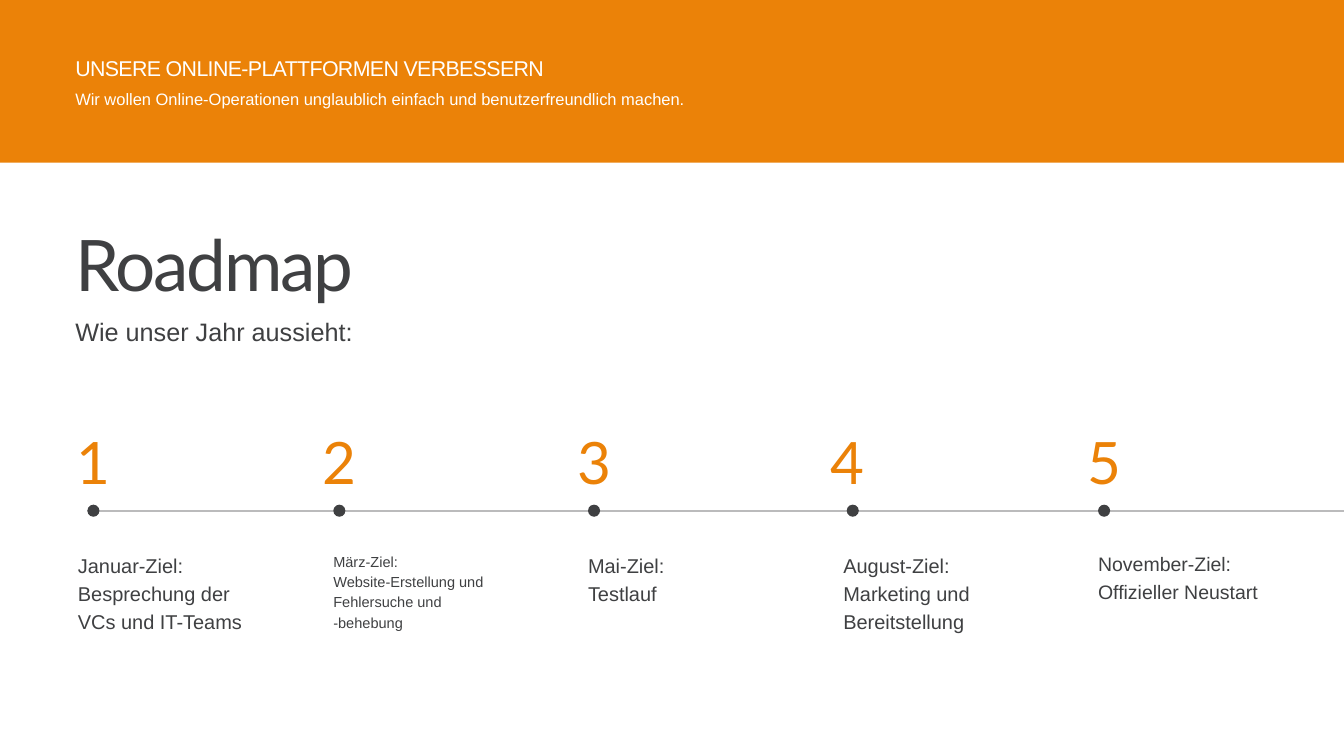
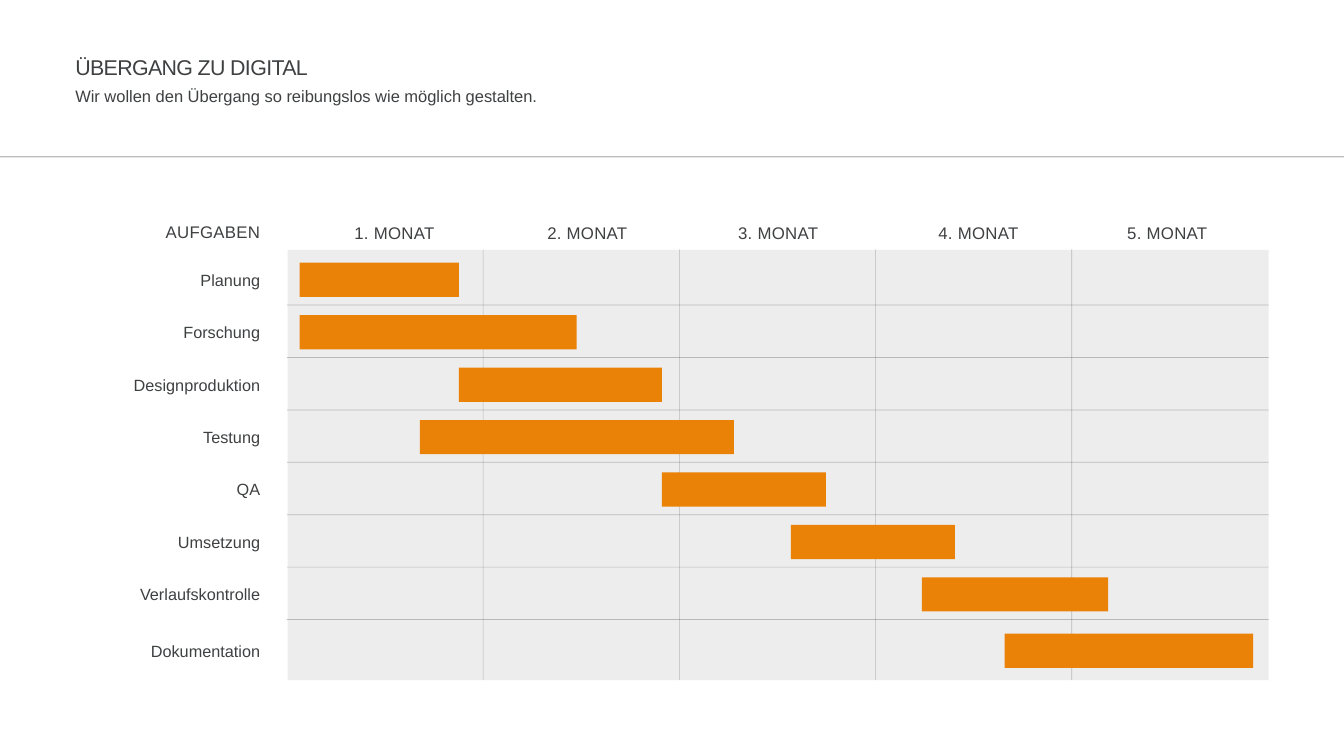
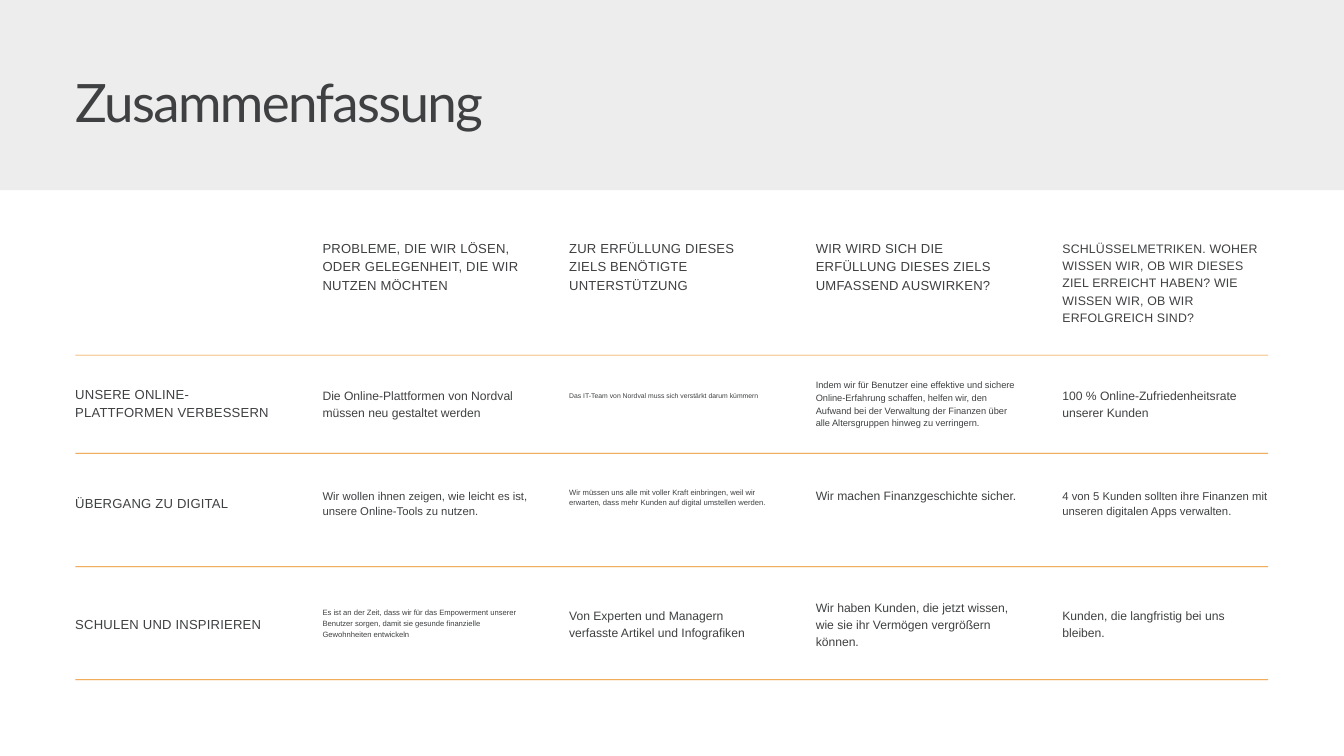
"""Build three planning slides: a roadmap, a Gantt plan and a summary grid."""
from dataclasses import dataclass, replace
from typing import NamedTuple

from lxml import etree
from pptx import Presentation
from pptx.dml.color import RGBColor
from pptx.enum import shapes, text
from pptx.oxml import ns
from pptx.util import Inches, Pt

ORANGE = RGBColor(0xEB, 0x82, 0x08)
DARK = RGBColor(0x3F, 0x40, 0x42)
LIGHT = RGBColor(0xED, 0xED, 0xED)
WHITE = RGBColor(0xFF, 0xFF, 0xFF)

LEFT, CENTER, RIGHT, JUSTIFY = (
    text.PP_ALIGN.LEFT, text.PP_ALIGN.CENTER, text.PP_ALIGN.RIGHT, text.PP_ALIGN.JUSTIFY)
RECT, OVAL = shapes.MSO_SHAPE.RECTANGLE, shapes.MSO_SHAPE.OVAL

MARGIN = 1.12
CONTENT_W = 17.75
HAIRLINE = 0.01


class Box(NamedTuple):
    """Position and size in inches."""
    left: float
    top: float
    width: float
    height: float


@dataclass(frozen=True)
class Style:
    """Look of a text; tracking in points, leading as a multiple of the size."""
    size: float
    font: str = "Arial"
    color: RGBColor = DARK
    tracking: float = 0
    leading: float = 1.4
    align: text.PP_ALIGN = LEFT


class Milestone(NamedTuple):
    """One stop on the roadmap."""
    number_left: float
    dot_left: float
    goal_left: float
    goal_top: float
    goal_height: float
    size: float
    goal: tuple[str, str]


class Task(NamedTuple):
    """One bar of the Gantt plan; drop moves it down from its row."""
    name: str
    start: float
    length: float
    drop: float = 0


class Month(NamedTuple):
    """One month heading."""
    left: float
    label: str


class Cell(NamedTuple):
    """One text of the summary grid."""
    words: str
    top: float
    height: float
    size: float = 13


TITLE = Style(76.1, "Lato", tracking=-2.3, leading=1.3)
SUMMARY_TITLE = replace(TITLE, size=56.7, tracking=-1.7)
NUMBER = Style(62.6, "Lato", ORANGE, 6.3, 1.3, CENTER)
HEADER = Style(22.9, tracking=-0.7, leading=1.3)
SUBHEADER = Style(17.7)
SUBTITLE = Style(27)
MONTH = Style(18, tracking=0.3, align=CENTER)
TASK = Style(17.4, align=RIGHT)
CAPS = Style(14, tracking=0.2)

MILESTONES = (
    Milestone(0.95, 1.3, 1.16, 8.18, 1.22, 21.4,
              ("Januar-Ziel:", "Besprechung der VCs und IT-Teams")),
    Milestone(4.6, 4.96, 4.96, 8.18, 1.2, 15.6,
              ("März-Ziel:", "Website-Erstellung und Fehlersuche und -behebung")),
    Milestone(8.4, 8.75, 8.75, 8.18, 0.8, 21.4, ("Mai-Ziel:", "Testlauf")),
    Milestone(12.16, 12.6, 12.55, 8.18, 1.22, 21.4,
              ("August-Ziel:", "Marketing und Bereitstellung")),
    Milestone(15.99, 16.34, 16.34, 8.16, 0.8, 20.9,
              ("November-Ziel:", "Offizieller Neustart")),
)

MONTHS = (
    Month(5.03, "1. MONAT"), Month(7.9, "2. MONAT"), Month(10.74, "3. MONAT"),
    Month(13.72, "4. MONAT"), Month(16.53, "5. MONAT"),
)

TASKS = (
    Task("Planung", 4.46, 2.37),
    Task("Forschung", 4.46, 4.12),
    Task("Designproduktion", 6.83, 3.02),
    Task("Testung", 6.25, 4.67),
    Task("QA", 9.85, 2.44),
    Task("Umsetzung", 11.77, 2.44),
    Task("Verlaufskontrolle", 13.72, 2.77),
    Task("Dokumentation", 14.95, 3.7, 0.06),
)
GRID = Box(4.28, 3.72, 14.6, 6.4)
MONTH_W = 2.92
ROW_H = 0.78

COLUMN_HEADS = (
    Cell("PROBLEME, DIE WIR LÖSEN, ODER GELEGENHEIT, DIE WIR NUTZEN MÖCHTEN", 3.54, 0.8, 14),
    Cell("ZUR ERFÜLLUNG DIESES ZIELS BENÖTIGTE UNTERSTÜTZUNG", 3.54, 0.53, 14),
    Cell("WIR WIRD SICH DIE ERFÜLLUNG DIESES ZIELS UMFASSEND AUSWIRKEN?", 3.54, 0.8, 14),
    Cell("SCHLÜSSELMETRIKEN. WOHER WISSEN WIR, OB WIR DIESES ZIEL ERREICHT HABEN? "
         "WIE WISSEN WIR, OB WIR ERFOLGREICH SIND?", 3.55, 1.23, 13.2),
)
ROW_HEADS = (
    Cell("UNSERE ONLINE-PLATTFORMEN VERBESSERN", 5.71, 0.53, 14),
    Cell("ÜBERGANG ZU DIGITAL", 7.33, 0.26, 14),
    Cell("SCHULEN UND INSPIRIEREN", 9.13, 0.26, 14),
)
ANSWERS = (
    (
        Cell("Die Online-Plattformen von Nordval müssen neu gestaltet werden", 5.74, 0.48),
        Cell("Das IT-Team von Nordval muss sich verstärkt darum kümmern", 5.81, 0.14, 7.3),
        Cell("Indem wir für Benutzer eine effektive und sichere Online-Erfahrung schaffen, "
             "helfen wir, den Aufwand bei der Verwaltung der Finanzen über alle "
             "Altersgruppen hinweg zu verringern.", 5.61, 0.75, 9.9),
        Cell("100 % Online-Zufriedenheitsrate unserer Kunden", 5.75, 0.48),
    ),
    (
        Cell("Wir wollen ihnen zeigen, wie leicht es ist, unsere Online-Tools zu nutzen.",
             7.24, 0.45, 12.1),
        Cell("Wir müssen uns alle mit voller Kraft einbringen, weil wir erwarten, "
             "dass mehr Kunden auf digital umstellen werden.", 7.23, 0.47, 8.2),
        Cell("Wir machen Finanzgeschichte sicher.", 7.23, 0.48),
        Cell("4 von 5 Kunden sollten ihre Finanzen mit unseren digitalen Apps verwalten.",
             7.24, 0.45, 12.1),
    ),
    (
        Cell("Es ist an der Zeit, dass wir für das Empowerment unserer Benutzer sorgen, "
             "damit sie gesunde finanzielle Gewohnheiten entwickeln", 9.03, 0.47, 8.2),
        Cell("Von Experten und Managern verfasste Artikel und Infografiken", 9.02, 0.48),
        Cell("Wir haben Kunden, die jetzt wissen, wie sie ihr Vermögen vergrößern können.",
             8.9, 0.73),
        Cell("Kunden, die langfristig bei uns bleiben.", 9.02, 0.48),
    ),
)
RULE_TOPS = (5.28, 6.74, 8.43, 10.11)
COLUMN_PITCH = 3.67
COLUMN_W = 3.06


def add_slide(prs):
    """Add a blank white slide."""
    s = prs.slides.add_slide(prs.slide_layouts[6])
    s.background.fill.solid()
    s.background.fill.fore_color.rgb = WHITE
    return s


def add_fill(s, box: Box, color: RGBColor, kind=RECT) -> None:
    """Draw a plain filled shape without outline."""
    sp = s.shapes.add_shape(kind, *map(Inches, box))
    sp.shadow.inherit = False
    sp.fill.solid()
    sp.fill.fore_color.rgb = color
    sp.line.fill.background()


def add_text(s, box: Box, style: Style, *lines: str) -> None:
    """Draw a text box with one paragraph per line."""
    tf = s.shapes.add_textbox(*map(Inches, box)).text_frame
    tf.margin_left = tf.margin_top = tf.margin_right = tf.margin_bottom = 0
    tf.word_wrap = True
    tf.auto_size = text.MSO_AUTO_SIZE.SHAPE_TO_FIT_TEXT
    for i, line in enumerate(lines):
        p = tf.add_paragraph() if i else tf.paragraphs[0]
        p.alignment = style.align
        p.line_spacing = Pt(round(style.size * style.leading, 1))
        r = p.add_run()
        r.text = line
        r.font.size = Pt(style.size)
        r.font.name = style.font
        r.font.color.rgb = style.color
        if style.tracking:
            r._r.get_or_add_rPr().set("spc", str(round(style.tracking * 100)))


def add_grid_line(s, x1: float, y1: float, x2: float, y2: float) -> None:
    """Draw a thin line at 30 % opacity."""
    line = s.shapes.add_connector(
        shapes.MSO_CONNECTOR.STRAIGHT, *map(Inches, (x1, y1, x2, y2)))
    line.line.width = Pt(0.75)
    line.line.color.rgb = DARK
    props = line._element.spPr
    color = props.find(".//" + ns.qn("a:srgbClr"))
    etree.SubElement(color, ns.qn("a:alpha"), val="30000")
    etree.SubElement(props, ns.qn("a:effectLst"))


def add_header(s, width: float, tops: tuple[float, float], title: str, subtitle: str,
               color: RGBColor, align: text.PP_ALIGN) -> None:
    """Draw the small heading with the sentence under it."""
    for style, top, height, words in (
            (HEADER, tops[0], 0.39, title), (SUBHEADER, tops[1], 0.32, subtitle)):
        add_text(s, Box(MARGIN, top, width, height),
                 replace(style, color=color, align=align), words)


def build_roadmap(prs) -> None:
    """Draw the roadmap with five milestones."""
    s = add_slide(prs)
    add_fill(s, Box(-0.37, -0.25, 20.85, 2.67), ORANGE)
    add_header(s, 9.99, (0.79, 1.28), "UNSERE ONLINE-PLATTFORMEN VERBESSERN",
               "Wir wollen Online-Operationen unglaublich einfach und "
               "benutzerfreundlich machen.", WHITE, LEFT)
    add_text(s, Box(MARGIN, 3.17, 9.08, 1.33), TITLE, "Roadmap")
    add_text(s, Box(MARGIN, 4.63, 9.08, 0.49), SUBTITLE, "Wie unser Jahr aussieht:")
    add_fill(s, Box(1.3, 7.6, 19.46, HAIRLINE), DARK)
    for number, m in enumerate(MILESTONES, 1):
        add_text(s, Box(m.number_left, 6.25, 0.89, 1.11), NUMBER, str(number))
        add_fill(s, Box(m.dot_left, 7.51, 0.18, 0.18), DARK, OVAL)
        add_text(s, Box(m.goal_left, m.goal_top, 2.71, m.goal_height),
                 Style(m.size), *m.goal)


def build_plan(prs) -> None:
    """Draw the Gantt plan over five months."""
    s = add_slide(prs)
    add_header(s, 7.61, (0.77, 1.23), "ÜBERGANG ZU DIGITAL",
               "Wir wollen den Übergang so reibungslos wie möglich gestalten.",
               DARK, JUSTIFY)
    add_fill(s, Box(0, 2.33, 20.46, HAIRLINE), DARK)
    add_fill(s, GRID, LIGHT)
    right, bottom = GRID.left + GRID.width, GRID.top + GRID.height
    for i in range(1, len(MONTHS)):
        x = 4.27 + i * MONTH_W
        add_grid_line(s, x, 3.71, x, bottom)
    for i in range(len(TASKS) - 1):
        y = 4.54 + i * ROW_H
        add_grid_line(s, 4.27, y, right, y)
    add_text(s, Box(MARGIN, 3.25, 2.75, 0.34), replace(MONTH, align=RIGHT), "AUFGABEN")
    for month in MONTHS:
        add_text(s, Box(month.left, 3.26, 1.68, 0.34), MONTH, month.label)
    for i, task in enumerate(TASKS):
        top = 3.91 + i * ROW_H + task.drop
        add_text(s, Box(MARGIN, top + 0.06, 2.75, 0.32), TASK, task.name)
        add_fill(s, Box(task.start, top, task.length, 0.51), ORANGE)


def build_summary(prs) -> None:
    """Draw the summary grid of goals and questions."""
    s = add_slide(prs)
    add_fill(s, Box(-0.34, -0.2, 20.64, 3.03), LIGHT)
    add_text(s, Box(MARGIN, 0.96, 6.74, 1), SUMMARY_TITLE, "Zusammenfassung")
    for top in RULE_TOPS:
        add_fill(s, Box(MARGIN, top, CONTENT_W, HAIRLINE), ORANGE)

    def add_cell(column: int, cell: Cell, style: Style) -> None:
        """Place one text in its column."""
        left = MARGIN + column * COLUMN_PITCH + (0.01 if column else 0)
        add_text(s, Box(left, cell.top, COLUMN_W, cell.height),
                 replace(style, size=cell.size), cell.words)

    for column, head in enumerate(COLUMN_HEADS, 1):
        add_cell(column, head, CAPS)
    for head, answers in zip(ROW_HEADS, ANSWERS):
        add_cell(0, head, CAPS)
        for column, answer in enumerate(answers, 1):
            add_cell(column, answer, Style(answer.size))


def main() -> None:
    """Build and save the presentation."""
    prs = Presentation()
    prs.slide_width, prs.slide_height = Inches(20), Inches(11.25)
    build_roadmap(prs)
    build_plan(prs)
    build_summary(prs)
    prs.save("out.pptx")


if __name__ == "__main__":
    main()
